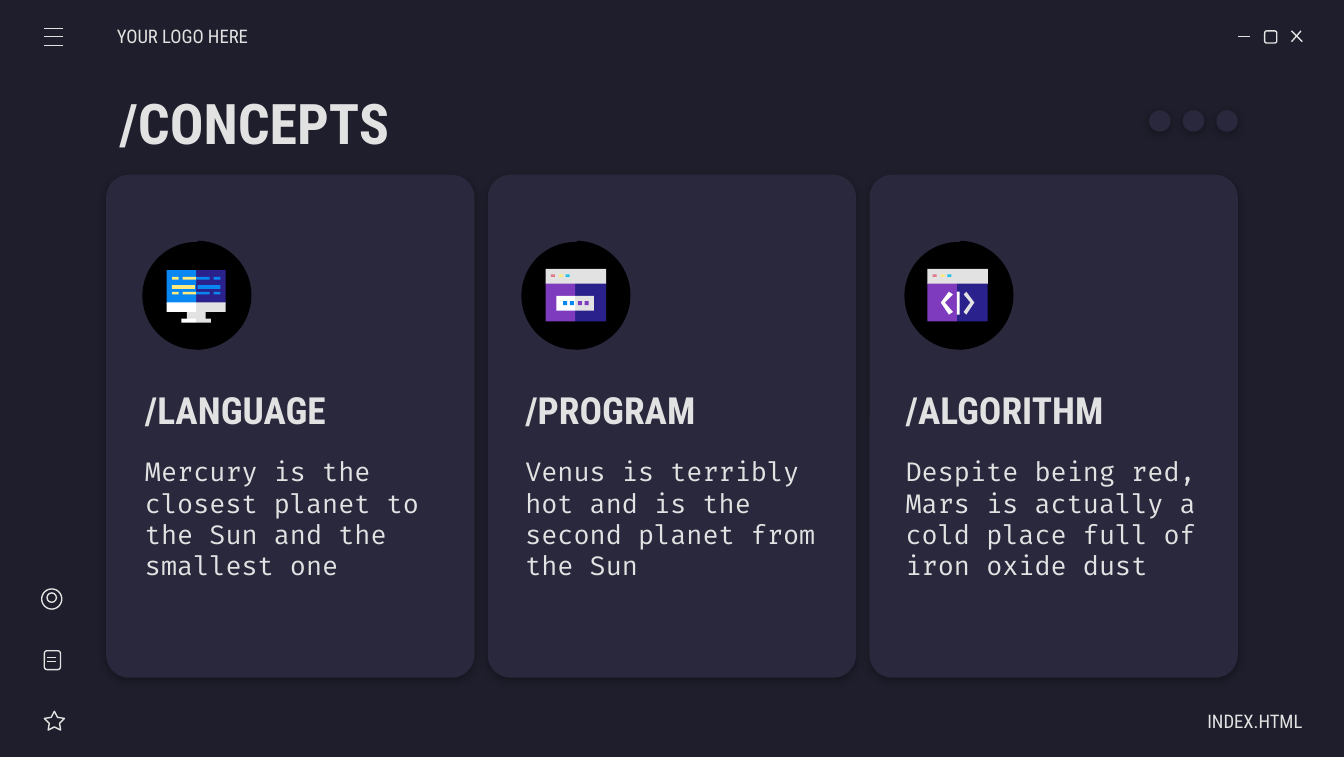
from lxml.etree import SubElement
from pptx import Presentation
from pptx.dml.color import RGBColor
from pptx.enum.shapes import MSO_CONNECTOR, MSO_SHAPE as Shape
from pptx.enum.text import MSO_ANCHOR, PP_ALIGN as Align
from pptx.oxml.ns import qn
from pptx.util import Inches, Pt

NIGHT = RGBColor(0x1E, 0x1E, 0x2C)
PANEL = RGBColor(0x29, 0x28, 0x3D)
LIGHT = RGBColor(0xE2, 0xE2, 0xE2)
WHITE = RGBColor(0xFF, 0xFF, 0xFF)
BLACK = RGBColor(0x00, 0x00, 0x00)
NAVY = RGBColor(0x2B, 0x21, 0x8D)
PURPLE = RGBColor(0x7E, 0x3B, 0xBE)
BLUE = RGBColor(0x08, 0x87, 0xF2)
SKY = RGBColor(0x24, 0xBF, 0xEB)
YELLOW = RGBColor(0xFF, 0xEA, 0x7D)
PINK = RGBColor(0xE0, 0x7A, 0x88)
HEADING, BODY = "Roboto Condensed", "Fira Code"

deck = Presentation()
deck.slide_width, deck.slide_height = Inches(10), Inches(5.63)
page = deck.slides.add_slide(deck.slide_layouts[6])
page.background.fill.solid()
page.background.fill.fore_color.rgb = NIGHT


def draw(holder, kind, area, fill=None, adjust=(), shadow=False):
    """Filled shape, or a thin light outline when no fill is given."""
    shape = holder.shapes.add_shape(kind, *[Inches(v) for v in area])
    shape.shadow.inherit = False
    for index, value in enumerate(adjust):
        shape.adjustments[index] = value
    if fill is None:
        shape.fill.background()
        shape.line.color.rgb = LIGHT
        shape.line.width = Pt(0.75)
    else:
        shape.fill.solid()
        shape.fill.fore_color.rgb = fill
        shape.line.fill.background()
    if shadow:
        effects = shape.element.spPr.find(qn("a:effectLst"))
        outer = SubElement(effects, qn("a:outerShdw"), blurRad=str(Pt(4.5)),
                           dist=str(Pt(1.5)), dir="5400000", algn="bl", rotWithShape="0")
        color = SubElement(outer, qn("a:srgbClr"), val=str(BLACK))
        SubElement(color, qn("a:alpha"), val="30000")
    return shape


def write(text, area, size, font=HEADING, bold=False, align=Align.LEFT, left=0.1, right=0.1):
    box = page.shapes.add_textbox(*[Inches(v) for v in area])
    frame_format = {
        "word_wrap": True, "vertical_anchor": MSO_ANCHOR.MIDDLE,
        "margin_left": Inches(left), "margin_right": Inches(right),
        "margin_top": Inches(0.1), "margin_bottom": Inches(0.1),
    }
    for name, value in frame_format.items():
        setattr(box.text_frame, name, value)
    para = box.text_frame.paragraphs[0]
    para.alignment = align
    span = para.add_run()
    span.text = text
    for name, value in {"size": Pt(size), "name": font, "bold": bold}.items():
        setattr(span.font, name, value)
    span.font.color.rgb = LIGHT


# Cards
for column in range(3):
    draw(page, Shape.ROUNDED_RECTANGLE, (0.79 + 2.84 * column, 1.3, 2.74, 3.74),
         PANEL, [0.062], shadow=True)

# Outlined parts of the window buttons and the side menu
draw(page, Shape.ROUNDED_RECTANGLE, (9.41, 0.23, 0.09, 0.09))
draw(page, Shape.STAR_5_POINT, (0.33, 5.29, 0.15, 0.14), adjust=[0.254])
draw(page, Shape.ROUNDED_RECTANGLE, (0.33, 4.84, 0.12, 0.14))
draw(page, Shape.OVAL, (0.31, 4.38, 0.15, 0.15))
draw(page, Shape.OVAL, (0.35, 4.41, 0.07, 0.07))

# Strokes: minimise, close, menu bars, lines of the note
strokes = [(9.21, 0.27, 9.3, 0.27), (9.61, 0.23, 9.69, 0.31), (9.68, 0.23, 9.61, 0.31)]
strokes += [(0.33, y, 0.47, y) for y in (0.21, 0.27, 0.34)]
strokes += [(0.35, y, 0.42, y) for y in (4.89, 4.92)]
for ends in strokes:
    stroke = page.shapes.add_connector(MSO_CONNECTOR.STRAIGHT, *[Inches(v) for v in ends])
    stroke.line.color.rgb = LIGHT
    stroke.line.width = Pt(0.75)
    SubElement(stroke.element.spPr, qn("a:effectLst"))

# Header, footer and title
write("YOUR LOGO HERE", (0.87, 0.12, 1.17, 0.3), 10, left=0)
write("INDEX.HTML", (8.52, 5.21, 1.17, 0.3), 10, align=Align.RIGHT, right=0)
write("/CONCEPTS", (0.79, 0.59, 4.97, 0.63), 30, bold=True)

# Dots beside the title
for column in range(3):
    draw(page, Shape.OVAL, (8.55 + 0.25 * column, 0.82, 0.16, 0.16), PANEL, shadow=True)

# Icon blocks: left and top from the icon corner, width, height, colour
window = [
    (0.22, 0.1, 0.23, 0.29, NAVY), (0, 0.1, 0.22, 0.29, PURPLE),
    (0, 0, 0.45, 0.11, LIGHT), (0.04, 0.04, 0.03, 0.02, PINK),
    (0.1, 0.04, 0.03, 0.02, YELLOW), (0.15, 0.04, 0.03, 0.02, SKY),
]
prompt = [(0.22, 0.2, 0.14, 0.11, LIGHT), (0.08, 0.2, 0.14, 0.11, WHITE)]
prompt += [(left, 0.24, 0.03, 0.03, color) for left, color in
           [(0.13, BLUE), (0.18, BLUE), (0.24, PURPLE), (0.29, PURPLE)]]
monitor = [
    (0.22, 0, 0.22, 0.25, NAVY), (0, 0, 0.22, 0.25, BLUE),
    (0.15, 0.3, 0.14, 0.07, LIGHT), (0.22, 0.36, 0.11, 0.03, LIGHT),
    (0.11, 0.36, 0.11, 0.03, WHITE), (0.22, 0.24, 0.22, 0.07, LIGHT),
    (0, 0.24, 0.22, 0.07, WHITE), (0.23, 0.11, 0.17, 0.03, BLUE),
    (0.04, 0.11, 0.17, 0.03, YELLOW),
]
for top in (0.05, 0.16):
    monitor += [(left, top, width, 0.02, color) for left, width, color in
                [(0.04, 0.05, YELLOW), (0.12, 0.1, YELLOW), (0.22, 0.1, BLUE),
                 (0.35, 0.05, BLUE)]]
cursor = [(0.22, 0.17, 0.02, 0.17, WHITE)]

# Heading, text, circle left, icon left and top, icon blocks
concepts = [
    ("/LANGUAGE", "Mercury is the closest planet to the Sun and the smallest one",
     1.06, 1.24, 2.01, monitor),
    ("/PROGRAM", "Venus is terribly hot and is the second planet from the Sun",
     3.88, 4.06, 2, window + prompt),
    ("/ALGORITHM", "Despite being red, Mars is actually a cold place full of iron oxide dust",
     6.73, 6.9, 2, window + cursor),
]
for column, (heading, text, circle_left, icon_left, icon_top, blocks) in enumerate(concepts):
    badge = page.shapes.add_group_shape()
    draw(badge, Shape.OVAL, (circle_left, 1.8, 0.8, 0.8), BLACK)
    half = draw(badge, Shape.PIE, (circle_left, 1.79, 0.81, 0.81), BLACK, [54.386, 162])
    half.rotation = 180
    text_left = 0.98 + 2.83 * column
    write(heading, (text_left, 2.79, 2.38, 0.51), 20, bold=True)
    write(text, (text_left, 3.31, 2.38, 1.09), 14, BODY)
    icon = page.shapes.add_group_shape()
    for left, top, width, height, color in blocks:
        draw(icon, Shape.RECTANGLE, (icon_left + left, icon_top + top, width, height), color)

# Angle brackets of the algorithm icon
brackets = [
    (WHITE, [(7.06, 2.17), (7, 2.25), (7.06, 2.34), (7.09, 2.32), (7.03, 2.25), (7.09, 2.19)]),
    (LIGHT, [(7.19, 2.17), (7.17, 2.19), (7.22, 2.25), (7.17, 2.32), (7.19, 2.34), (7.25, 2.25)]),
]
for color, corners in brackets:
    points = [(Inches(x), Inches(y)) for x, y in corners]
    outline = icon.shapes.build_freeform(*points[0])
    outline.add_line_segments(points[1:], close=True)
    bracket = outline.convert_to_shape()
    bracket.shadow.inherit = False
    bracket.fill.solid()
    bracket.fill.fore_color.rgb = color
    bracket.line.fill.background()

deck.save("out.pptx")
